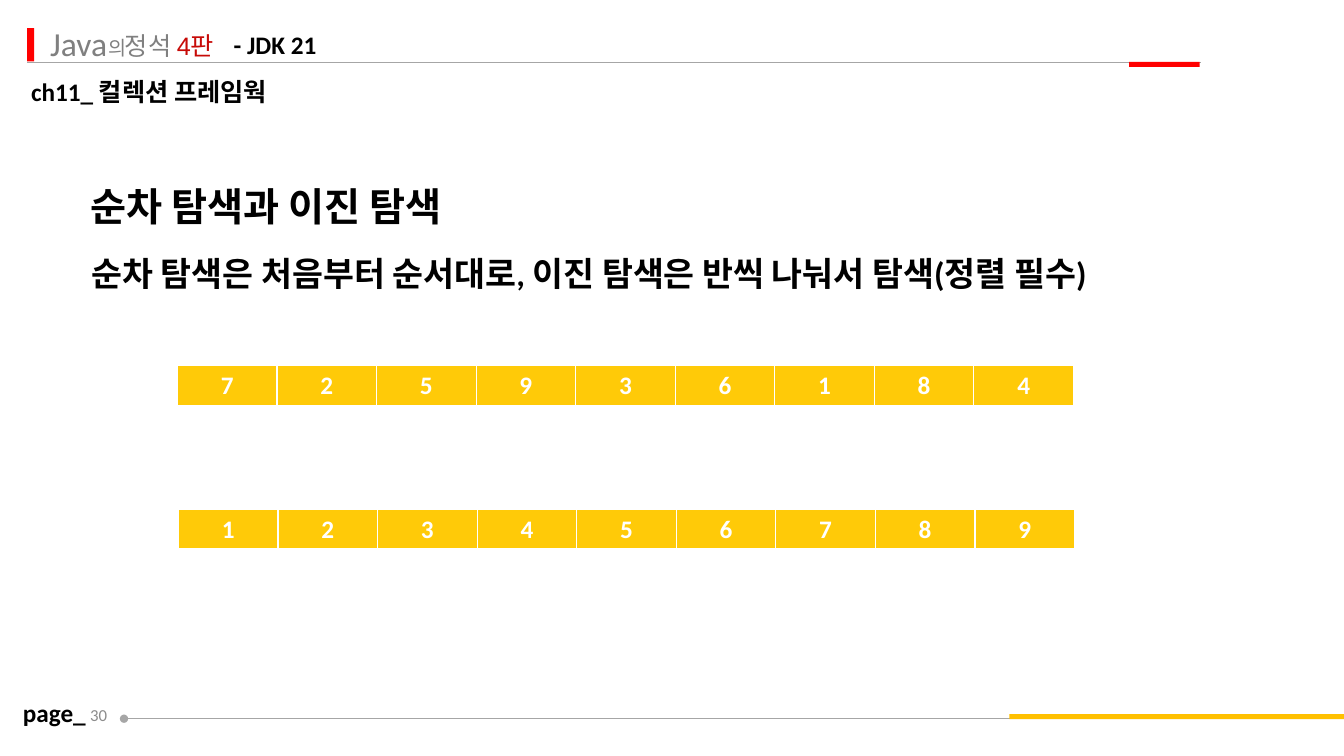
from dataclasses import dataclass

from lxml.etree import SubElement
from pptx import Presentation
from pptx.dml.color import RGBColor
from pptx.enum.shapes import MSO_CONNECTOR, MSO_SHAPE
from pptx.enum.text import MSO_ANCHOR, PP_ALIGN
from pptx.oxml.ns import qn
from pptx.util import Inches, Pt


@dataclass(frozen=True)
class Theme:
    """Colours, fonts and type sizes of the slide."""
    black: str = "000000"
    white: str = "FFFFFF"
    grey: str = "808080"
    page_grey: str = "8C8C8C"
    rule: str = "A6A6A6"
    red: str = "FF0000"
    edition_red: str = "C70A07"
    amber: str = "FFC000"
    cell: str = "FFCA08"
    latin: str = "Calibri"
    korean: str = "Arial"
    title: int = 28
    large: int = 24
    label: int = 18
    small: int = 14
    page: int = 12


T = Theme()


def set_attrs(obj, **values):
    """Set each named value on the object."""
    for name, value in values.items():
        setattr(obj, name, value)


def add_run(p, text, size=T.label, color=T.black, font=T.latin, bold=False):
    """Append a formatted run to a paragraph."""
    r = p.add_run()
    r.text = text
    set_attrs(r.font, size=Pt(size), name=font, bold=bold)
    r.font.color.rgb = RGBColor.from_string(color)


def add_text(s, x, y, w, h, runs, align=PP_ALIGN.LEFT, anchor=MSO_ANCHOR.TOP):
    """Add a one-paragraph text box from (text, format) pairs."""
    tf = s.shapes.add_textbox(Inches(x), Inches(y), Inches(w), Inches(h)).text_frame
    set_attrs(tf, word_wrap=True, vertical_anchor=anchor)
    p = tf.paragraphs[0]
    p.alignment = align
    for text, fmt in runs:
        add_run(p, text, **fmt)


def add_bar(s, x, y, w, h, color):
    """Add a plain filled bar."""
    sp = s.shapes.add_shape(MSO_SHAPE.RECTANGLE, Inches(x), Inches(y), Inches(w), Inches(h))
    sp.shadow.inherit = False
    sp.fill.solid()
    sp.fill.fore_color.rgb = RGBColor.from_string(color)
    sp.line.fill.background()


def add_rule(s, x, y, w, dot=False):
    """Add a thin horizontal rule, optionally starting with a dot."""
    sp = s.shapes.add_connector(
        MSO_CONNECTOR.STRAIGHT, Inches(x), Inches(y), Inches(x + w), Inches(y))
    sp.line.width = Pt(0.5)
    sp.line.color.rgb = RGBColor.from_string(T.rule)
    if dot:
        SubElement(sp.line._get_or_add_ln(), qn("a:headEnd"), type="oval")
    SubElement(sp._element.spPr, qn("a:effectLst"))


def add_header(s, x, y, w):
    """Draw the book title, its rule and the chapter name."""
    grey = dict(color=T.grey, font=T.korean)
    bold = dict(bold=True)
    add_rule(s, x, y + 0.44, w)
    add_text(s, x + 0.87, y + 0.07, 1.7, 0.4, [
        ("정석 ", grey), ("4판", dict(color=T.edition_red, font=T.korean))])
    add_text(s, x + 1.95, y + 0.06, 1.3, 0.4, [("- JDK 21", bold)])
    add_text(s, x + 0.13, y, 0.9, 0.5, [("Java", dict(size=T.large, color=T.grey))])
    add_bar(s, x, y + 0.1, 0.07, 0.33, T.red)
    add_text(s, x + 0.71, y + 0.13, 0.42, 0.34, [("의", dict(grey, size=T.small))])
    add_text(s, x - 0.06, y + 0.53, 5.29, 0.4, [("ch11_ 컬렉션 프레임웍", bold)])
    add_bar(s, x + w - 0.71, y + 0.435, 0.7, 0.05, T.red)


def add_footer(s, x, y, w):
    """Draw the page number and the bottom rule."""
    add_rule(s, x + 1.1, y + 0.26, w - 1.1, dot=True)
    add_bar(s, x + w - 3.32, y + 0.215, 3.32, 0.05, T.amber)
    add_text(s, x + 0.58, y + 0.02, 0.45, 0.4,
             [("30", dict(size=T.page, color=T.page_grey))],
             PP_ALIGN.RIGHT, MSO_ANCHOR.MIDDLE)
    add_text(s, x, y, 0.9, 0.4, [("page_", dict(bold=True))])


def add_topic(s, x, y, w):
    """Write the topic and its summary line."""
    add_text(s, x, y, w, 0.57,
             [("순차 탐색과 이진 탐색", dict(size=T.title, bold=True))])
    add_text(s, x + 0.01, y + 0.7, w, 0.5, [
        ("순차 탐색은 처음부터 순서대로, 이진 탐색은 반씩 나눠서 탐색(정렬 필수)",
         dict(size=T.large, bold=True))])


def set_borders(cell):
    """Give a cell white borders, thicker at the bottom."""
    tcPr = cell._tc.get_or_add_tcPr()
    for i, (side, width) in enumerate((("lnL", 1), ("lnR", 1), ("lnT", 1), ("lnB", 3))):
        ln = SubElement(tcPr, qn(f"a:{side}"), w=str(Pt(width)))
        fill = SubElement(ln, qn("a:solidFill"))
        SubElement(fill, qn("a:srgbClr"), val=T.white)
        tcPr.insert(i, ln)


def add_array(s, x, y, w, h, digits):
    """Draw an array as a one-row table with equal columns."""
    table = s.shapes.add_table(
        1, len(digits), Inches(x), Inches(y), Inches(w), Inches(h)).table
    set_attrs(table, first_row=False, horz_banding=False)
    for col, digit in enumerate(digits):
        table.columns[col].width = Inches(w / len(digits))
        cell = table.cell(0, col)
        cell.fill.solid()
        cell.fill.fore_color.rgb = RGBColor.from_string(T.cell)
        set_borders(cell)
        p = cell.text_frame.paragraphs[0]
        p.alignment = PP_ALIGN.CENTER
        add_run(p, digit, color=T.white, bold=True)


def main():
    """Build and save the slide."""
    prs = Presentation()
    set_attrs(prs, slide_width=Inches(13.33), slide_height=Inches(7.5))
    s = prs.slides.add_slide(prs.slide_layouts[6])
    add_header(s, 0.27, 0.18, 11.64)
    add_footer(s, 0.13, 6.87, 13.2)
    add_topic(s, 0.8, 1.76, 12.2)
    add_array(s, 1.77, 5.05, 8.89, 0.41, "123456789")
    add_array(s, 1.76, 3.63, 8.89, 0.41, "725936184")
    prs.save("out.pptx")


if __name__ == "__main__":
    main()
